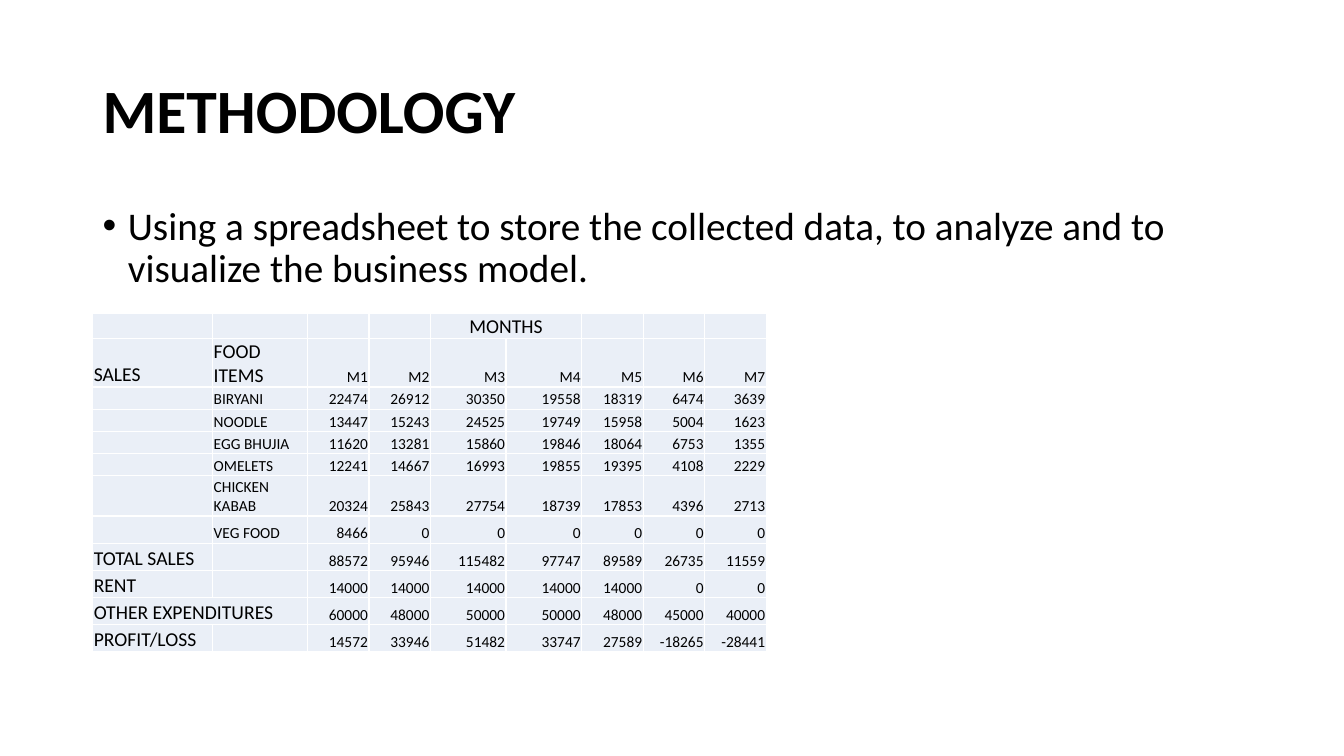
from dataclasses import dataclass

from pptx import Presentation
from pptx.dml.color import RGBColor
from pptx.enum.text import MSO_ANCHOR, PP_ALIGN
from pptx.oxml.ns import qn
from pptx.util import Inches, Pt
from lxml.etree import SubElement


@dataclass(frozen=True)
class Theme:
    font: str = "Calibri"
    ink: str = "000000"
    cell: str = "EAEFF7"
    rule: str = "FFFFFF"
    title: int = 44
    body: int = 28
    label: int = 14
    data: int = 11


THEME = Theme()

COLS = [1.19, 0.94, 0.61, 0.61, 0.75, 0.75, 0.61, 0.61, 0.61]
ROWS = [0.25, 0.48] + [0.22] * 4 + [0.4] + [0.27] * 5
SALES = [
    ["", "", "", "", "MONTHS", "", "", "", ""],
    ["SALES", "FOOD ITEMS", "M1", "M2", "M3", "M4", "M5", "M6", "M7"],
    ["", "BIRYANI", 22474, 26912, 30350, 19558, 18319, 6474, 3639],
    ["", "NOODLE", 13447, 15243, 24525, 19749, 15958, 5004, 1623],
    ["", "EGG BHUJIA", 11620, 13281, 15860, 19846, 18064, 6753, 1355],
    ["", "OMELETS", 12241, 14667, 16993, 19855, 19395, 4108, 2229],
    ["", "CHICKEN KABAB", 20324, 25843, 27754, 18739, 17853, 4396, 2713],
    ["", "VEG FOOD", 8466, 0, 0, 0, 0, 0, 0],
    ["TOTAL SALES", "", 88572, 95946, 115482, 97747, 89589, 26735, 11559],
    ["RENT", "", 14000, 14000, 14000, 14000, 14000, 0, 0],
    ["OTHER EXPENDITURES", "", 60000, 48000, 50000, 50000, 48000, 45000, 40000],
    ["PROFIT/LOSS", "", 14572, 33946, 51482, 33747, 27589, -18265, -28441],
]
SPANS = [(0, 4), (10, 0)]  # cells that cover two columns


def style(para, size, bold=False):
    for run in para.runs:
        font = run.font
        font.name, font.size, font.bold = THEME.font, Pt(size), bold
        font.color.rgb = RGBColor.from_string(THEME.ink)


def add_text(slide, box, text, size, bold=False, anchor=MSO_ANCHOR.TOP):
    frame = slide.shapes.add_textbox(*map(Inches, box)).text_frame
    frame.word_wrap = True
    frame.vertical_anchor = anchor
    para = frame.paragraphs[0]
    para.text = text
    para.line_spacing = 0.9
    style(para, size, bold)
    return para


def add_bullet(para, indent):
    props = para._p.get_or_add_pPr()
    props.set("marL", str(Inches(indent)))
    props.set("indent", str(-Inches(indent)))
    SubElement(props, qn("a:buFont"), typeface="Arial")
    SubElement(props, qn("a:buChar"), char="•")


def add_rules(cell):
    props = cell._tc.get_or_add_tcPr()
    for side in ("a:lnL", "a:lnR", "a:lnT", "a:lnB"):
        line = SubElement(props, qn(side), w=str(Pt(1)))
        fill = SubElement(line, qn("a:solidFill"))
        SubElement(fill, qn("a:srgbClr"), val=THEME.rule)


def fill_cell(cell, value, size, align):
    add_rules(cell)
    cell.fill.solid()
    cell.fill.fore_color.rgb = RGBColor.from_string(THEME.cell)
    cell.margin_left = cell.margin_right = cell.margin_top = Inches(0.01)
    cell.margin_bottom = 0
    cell.vertical_anchor = MSO_ANCHOR.BOTTOM
    para = cell.text_frame.paragraphs[0]
    para.text = str(value)
    para.alignment = align
    style(para, size)
    if value == "":
        # Keep empty cells from stretching their row
        SubElement(para._p, qn("a:endParaRPr"), sz=str(size * 100))


def cell_look(row, col, value):
    if row == 0:
        return (THEME.label if value else THEME.data), PP_ALIGN.CENTER
    if col > 1:
        return THEME.data, PP_ALIGN.RIGHT
    big = value and (col == 0 or row == 1)
    return (THEME.label if big else THEME.data), PP_ALIGN.LEFT


def add_sales(slide, left, top):
    shape = slide.shapes.add_table(
        len(ROWS), len(COLS), Inches(left), Inches(top),
        Inches(sum(COLS)), Inches(sum(ROWS)))
    table = shape.table
    table.first_row = table.horz_banding = False
    for col, width in zip(table.columns, COLS):
        col.width = Inches(width)
    for row, height in zip(table.rows, ROWS):
        row.height = Inches(height)
    for i, line in enumerate(SALES):
        for j, value in enumerate(line):
            fill_cell(table.cell(i, j), value, *cell_look(i, j, value))
    for i, j in SPANS:
        table.cell(i, j).merge(table.cell(i, j + 1))


def main():
    deck = Presentation()
    deck.slide_width, deck.slide_height = Inches(13.33), Inches(7.5)
    slide = deck.slides.add_slide(deck.slide_layouts[6])

    # Title
    add_text(slide, (0.92, 0.4, 11.5, 1.45), "METHODOLOGY",
             THEME.title, bold=True, anchor=MSO_ANCHOR.MIDDLE)

    # Body point
    point = add_text(
        slide, (0.92, 2, 11.5, 4.76),
        "Using a spreadsheet to store the collected data, to analyze and to "
        "visualize the business model.", THEME.body)
    point.space_before = Pt(10)
    add_bullet(point, 0.25)

    # Sales table
    add_sales(slide, 0.92, 3.11)

    deck.save("out.pptx")


if __name__ == "__main__":
    main()
